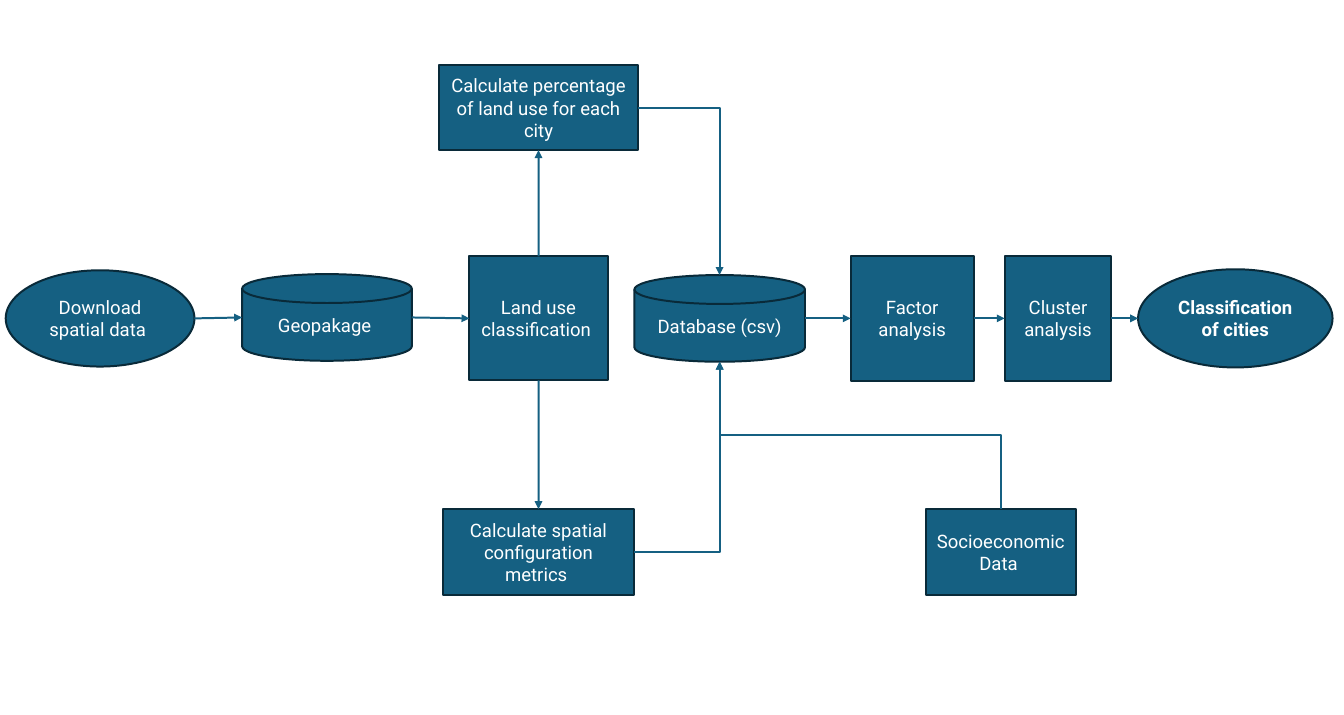
from lxml import etree
from pptx import Presentation
from pptx.dml.color import RGBColor
from pptx.enum.shapes import MSO_CONNECTOR, MSO_SHAPE
from pptx.enum.text import MSO_ANCHOR, PP_ALIGN
from pptx.oxml.ns import qn
from pptx.util import Inches, Pt

RECT, OVAL, DISK = MSO_SHAPE.RECTANGLE, MSO_SHAPE.OVAL, MSO_SHAPE.FLOWCHART_MAGNETIC_DISK
STRAIGHT, ELBOW = MSO_CONNECTOR.STRAIGHT, MSO_CONNECTOR.ELBOW
CENTER, MIDDLE = PP_ALIGN.CENTER, MSO_ANCHOR.MIDDLE
TOP, LEFT, BOTTOM, RIGHT = range(4)
BLUE = RGBColor(0x15, 0x60, 0x82)
NAVY = RGBColor(0x09, 0x2A, 0x39)
WHITE = RGBColor(0xFF, 0xFF, 0xFF)
FONT, SIZE, LINE = "Roboto", Pt(14), Pt(1.5)

# Rows and shared columns, as centre lines in inches
UPPER, MAIN, LOWER = 1.13, 3.34, 5.79
LAND_COL, DATA_COL = 5.65, 7.55

# name: (text, shape, centre x, centre y, width, height)
STEPS = {
    "download": ("Download spatial data ", OVAL, 1.05, MAIN, 1.98, 1.01),
    "geopackage": ("Geopakage ", DISK, 3.43, 3.33, 1.78, 0.91),
    "land use": ("Land use classification ", RECT, LAND_COL, MAIN, 1.45, 1.3),
    "percentage": ("Calculate percentage of land use for each city", RECT, LAND_COL, UPPER, 2.09, 0.89),
    "metrics": ("Calculate spatial configuration metrics ", RECT, LAND_COL, LOWER, 2.01, 0.9),
    "database": ("Database (csv)", DISK, DATA_COL, MAIN, 1.79, 0.91),
    "socioeconomic": ("Socioeconomic Data ", RECT, 10.5, LOWER, 1.57, 0.9),
    "factor": ("Factor analysis", RECT, 9.57, MAIN, 1.29, 1.31),
    "cluster": ("Cluster analysis", RECT, 11.1, MAIN, 1.12, 1.31),
    "cities": ("Classification of cities", OVAL, 12.96, MAIN, 2.04, 1.03),
}
BOLD = {"cities"}
STRAIGHT_ARROWS = [
    ("download", RIGHT, "geopackage", LEFT),
    ("geopackage", RIGHT, "land use", LEFT),
    ("land use", TOP, "percentage", BOTTOM),
    ("land use", BOTTOM, "metrics", TOP),
    ("database", RIGHT, "factor", LEFT),
    ("factor", RIGHT, "cluster", LEFT),
    ("cluster", RIGHT, "cities", LEFT),
]
CORNER_ARROWS = [
    ("percentage", RIGHT, "database", TOP),
    ("metrics", RIGHT, "database", BOTTOM),
]


def side_point(name, side):
    _, _, x, y, w, h = STEPS[name]
    dx, dy = {TOP: (0, -1), LEFT: (-1, 0), BOTTOM: (0, 1), RIGHT: (1, 0)}[side]
    return x + dx * w / 2, y + dy * h / 2


def add_step(s, name):
    text, kind, x, y, w, h = STEPS[name]
    sp = s.shapes.add_shape(kind, Inches(x - w / 2), Inches(y - h / 2), Inches(w), Inches(h))
    sp.shadow.inherit = False
    sp.fill.solid()
    sp.fill.fore_color.rgb = BLUE
    sp.line.color.rgb = NAVY
    sp.line.width = LINE
    tf = sp.text_frame
    tf.word_wrap = True
    tf.vertical_anchor = MIDDLE
    p = tf.paragraphs[0]
    p.alignment = CENTER
    r = p.add_run()
    r.text = text
    r.font.name, r.font.size, r.font.bold = FONT, SIZE, name in BOLD
    r.font.color.rgb = WHITE
    return sp


def add_arrow(s, kind, start, end):
    c = s.shapes.add_connector(kind, *(Inches(v) for v in (*start, *end)))
    c.line.color.rgb = BLUE
    c.line.width = LINE
    etree.SubElement(c.line._get_or_add_ln(), qn("a:tailEnd"), type="triangle")
    etree.SubElement(c._element.spPr, qn("a:effectLst"))
    return c


def main():
    prs = Presentation()
    prs.slide_width, prs.slide_height = Inches(14.1), Inches(7.5)
    s = prs.slides.add_slide(prs.slide_layouts[6])

    # Steps
    shapes = {name: add_step(s, name) for name in STEPS}

    # Straight arrows, joined to the rectangles they touch
    for a, a_side, b, b_side in STRAIGHT_ARROWS:
        c = add_arrow(s, STRAIGHT, side_point(a, a_side), side_point(b, b_side))
        if STEPS[a][1] == RECT:
            c.begin_connect(shapes[a], a_side)
        if STEPS[b][1] == RECT:
            c.end_connect(shapes[b], b_side)

    # One-corner arrows into the database
    for a, a_side, b, b_side in CORNER_ARROWS:
        c = add_arrow(s, ELBOW, side_point(a, a_side), side_point(b, b_side))
        c._element.spPr.find(qn("a:prstGeom")).set("prst", "bentConnector2")

    # Two-corner arrow that leaves upwards: drawn sideways, then turned by 270 degrees
    (x1, y1), (x2, y2) = side_point("socioeconomic", TOP), side_point("database", BOTTOM)
    cx, cy = (x1 + x2) / 2, (y1 + y2) / 2
    half_w, half_h = (y1 - y2) / 2, (x1 - x2) / 2
    c = add_arrow(s, ELBOW, (cx - half_w, cy + half_h), (cx + half_w, cy - half_h))
    c._element.spPr.find(qn("a:xfrm")).set("rot", str(270 * 60000))

    prs.save("out.pptx")


if __name__ == "__main__":
    main()
